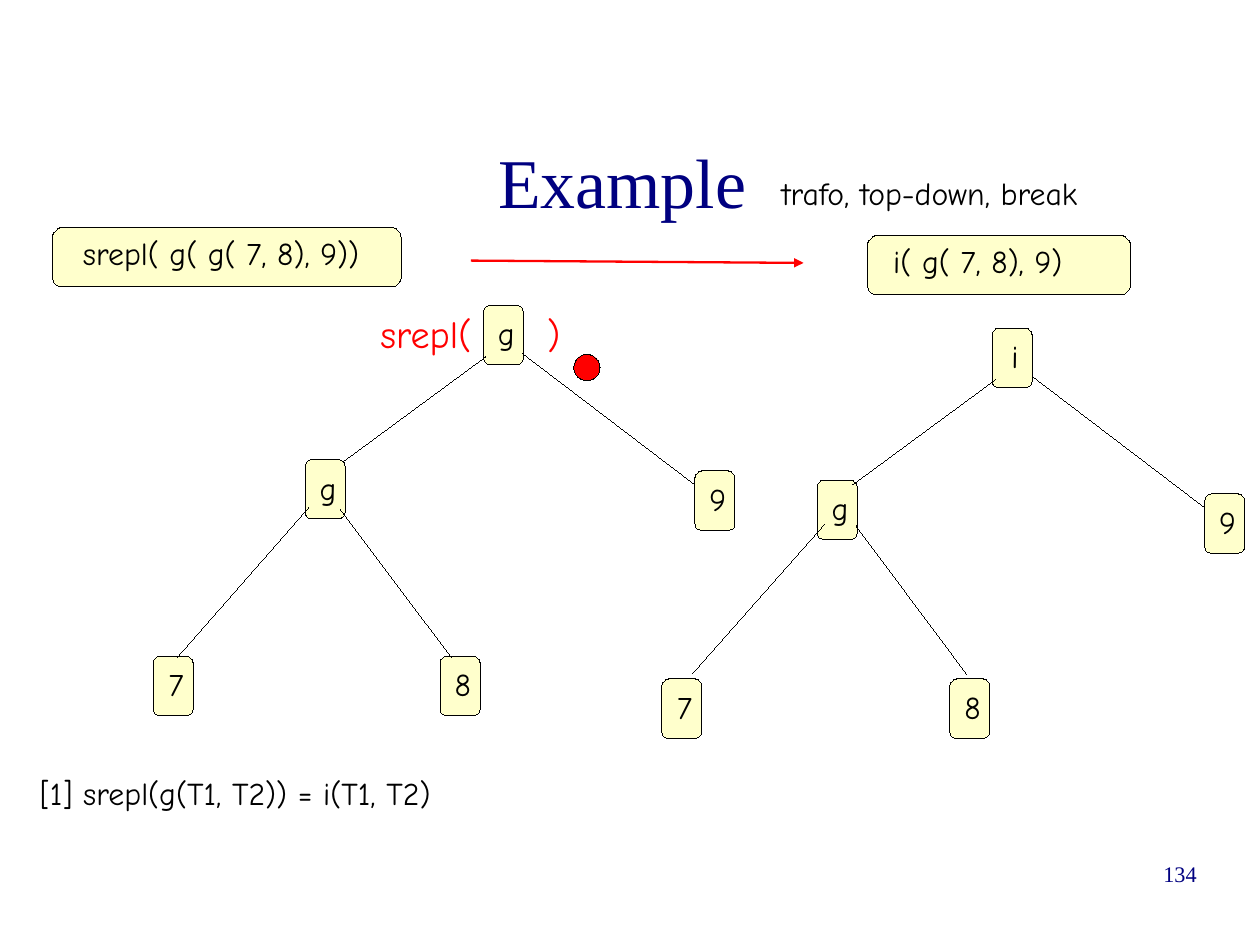
from dataclasses import dataclass

from lxml.etree import SubElement
from pptx import Presentation
from pptx.dml.color import RGBColor
from pptx.enum.shapes import MSO_CONNECTOR as Connector, MSO_SHAPE as Shape
from pptx.enum.text import MSO_ANCHOR as Anchor, MSO_AUTO_SIZE as AutoSize, PP_ALIGN as Align
from pptx.oxml.ns import qn
from pptx.util import Inches, Pt


@dataclass(frozen=True)
class Theme:
    ink: str = "000000"
    navy: str = "000080"
    red: str = "FF0000"
    cream: str = "FFFFCC"
    serif: str = "Times New Roman"
    hand: str = "Comic Neue"
    title_size: int = 44
    call_size: int = 24
    body_size: int = 20
    number_size: int = 14
    hairline: float = 0
    arrow_width: float = 1.45


@dataclass(frozen=True)
class Node:
    label: str
    left: float
    top: float


@dataclass(frozen=True)
class Branch:
    x1: float
    y1: float
    x2: float
    y2: float


@dataclass(frozen=True)
class Tree:
    nodes: tuple[Node, ...]
    branches: tuple[Branch, ...]


@dataclass(frozen=True)
class Term:
    text: str
    left: float
    top: float
    width: float
    indent: float


@dataclass(frozen=True)
class Caption:
    text: str
    left: float
    top: float
    width: float
    height: float
    size: int
    color: str
    font: str
    align: Align = Align.LEFT
    padding: tuple[float, float] = (0.1, 0.05)
    tab: float = 0


THEME = Theme()
CM_PER_INCH = 2.54
BOX_HEIGHT = 0.52
NODE_WIDTH = 0.35

TERMS = (
    Term("srepl( g( g( 7, 8), 9))", 0.46, 1.99, 3.05, 0.24),
    Term("i( g( 7, 8), 9)", 7.59, 2.06, 2.3, 0.2),
)
TREES = (
    Tree(
        (Node("g", 4.23, 2.67), Node("g", 2.67, 4.02), Node("7", 1.34, 5.74),
         Node("8", 3.85, 5.74), Node("9", 6.08, 4.12)),
        (Branch(4.25, 3.12, 3, 4.04), Branch(2.7, 4.44, 1.55, 5.75),
         Branch(2.98, 4.46, 3.95, 5.75), Branch(4.57, 3.09, 6.08, 4.24)),
    ),
    Tree(
        (Node("i", 8.68, 2.87), Node("g", 7.15, 4.2), Node("7", 5.79, 5.94),
         Node("8", 8.31, 5.94), Node("9", 10.54, 4.32)),
        (Branch(8.71, 3.32, 7.46, 4.24), Branch(7.21, 4.59, 6.06, 5.89),
         Branch(7.49, 4.6, 8.46, 5.9), Branch(9.03, 3.29, 10.54, 4.44)),
    ),
)
CAPTIONS = (
    Caption("srepl(\t)", 3.23, 2.67, 1.9, 0.56, THEME.call_size, THEME.red, THEME.hand, tab=1.46),
    Caption("[1] srepl(g(T1, T2)) = i(T1, T2)", 0.25, 6.72, 4.41, 0.49,
            THEME.body_size, THEME.ink, THEME.hand),
    Caption("trafo, top-down, break", 6.74, 1.47, 3.62, 0.5,
            THEME.body_size, THEME.ink, THEME.hand),
    Caption("134", 7.9, 7.53, 2.57, 0.57, THEME.number_size, THEME.navy, THEME.serif,
            Align.RIGHT, (0, 0)),
)


def write(frame, text: str, size: int, color: str, font: str, align: Align,
          insets: tuple[float, float, float, float], anchor: Anchor = Anchor.TOP,
          tab: float = 0) -> None:
    frame.word_wrap = True
    frame.auto_size = AutoSize.NONE
    frame.vertical_anchor = anchor
    (frame.margin_left, frame.margin_top,
     frame.margin_right, frame.margin_bottom) = map(Inches, insets)
    paragraph = frame.paragraphs[0]
    paragraph.add_run().text = text
    paragraph.alignment = align
    if tab:
        stops = SubElement(paragraph._p.get_or_add_pPr(), qn("a:tabLst"))
        SubElement(stops, qn("a:tab"), pos=str(Inches(tab)), algn="l")
    paragraph.font.size = Pt(size)
    paragraph.font.name = font
    paragraph.font.color.rgb = RGBColor.from_string(color)


def stroke(line, color: str, width: float) -> None:
    line.color.rgb = RGBColor.from_string(color)
    line._get_or_add_ln().set("w", str(Pt(width)))


def draw_shape(slide, kind: Shape, left: float, top: float, width: float, height: float,
               fill: str):
    shape = slide.shapes.add_shape(kind, Inches(left), Inches(top), Inches(width), Inches(height))
    shape.shadow.inherit = False
    shape.fill.solid()
    shape.fill.fore_color.rgb = RGBColor.from_string(fill)
    stroke(shape.line, THEME.ink, THEME.hairline)
    return shape


def draw_box(slide, text: str, left: float, top: float, width: float,
             insets: tuple[float, float], align: Align) -> None:
    box = draw_shape(slide, Shape.ROUNDED_RECTANGLE, left, top, width, BOX_HEIGHT, THEME.cream)
    write(box.text_frame, text, THEME.body_size, THEME.ink, THEME.hand, align, (*insets, 0, 0))


def draw_line(slide, route: Branch, color: str, width: float, arrow: bool = False) -> None:
    connector = slide.shapes.add_connector(
        Connector.STRAIGHT, Inches(route.x1), Inches(route.y1), Inches(route.x2), Inches(route.y2))
    stroke(connector.line, color, width)
    if arrow:
        SubElement(connector.line._get_or_add_ln(), qn("a:tailEnd"), type="triangle")
    SubElement(connector._element.spPr, qn("a:effectLst"))


def draw_tree(slide, tree: Tree) -> None:
    for node in tree.nodes:
        draw_box(slide, node.label, node.left, node.top, NODE_WIDTH, (0.05, 0.06), Align.CENTER)
    for branch in tree.branches:
        draw_line(slide, branch, THEME.ink, THEME.hairline)


def draw_caption(slide, caption: Caption) -> None:
    box = slide.shapes.add_textbox(Inches(caption.left), Inches(caption.top),
                                   Inches(caption.width), Inches(caption.height))
    write(box.text_frame, caption.text, caption.size, caption.color, caption.font,
          caption.align, caption.padding * 2, tab=caption.tab)


def draw_title(slide, text: str) -> None:
    title = slide.shapes.title
    title.left, title.top = Inches(0.74), Inches(0.89)
    title.width, title.height = Inches(9.41), Inches(1.38)
    write(title.text_frame, text, THEME.title_size, THEME.navy, THEME.serif, Align.CENTER,
          (0, 0, 0, 0), Anchor.MIDDLE)


def main() -> None:
    deck = Presentation()
    deck.slide_width = Inches(28 / CM_PER_INCH)
    deck.slide_height = Inches(21 / CM_PER_INCH)
    slide = deck.slides.add_slide(deck.slide_layouts[5])
    draw_title(slide, "Example")
    for term in TERMS:
        draw_box(slide, term.text, term.left, term.top, term.width, (term.indent, 0.03),
                 Align.LEFT)
    draw_line(slide, Branch(4.12, 2.28, 7.03, 2.3), THEME.red, THEME.arrow_width, arrow=True)
    for caption in CAPTIONS:
        draw_caption(slide, caption)
    draw_shape(slide, Shape.OVAL, 5.02, 3.1, 0.23, 0.23, THEME.red)
    for tree in TREES:
        draw_tree(slide, tree)
    deck.save("out.pptx")


if __name__ == "__main__":
    main()
